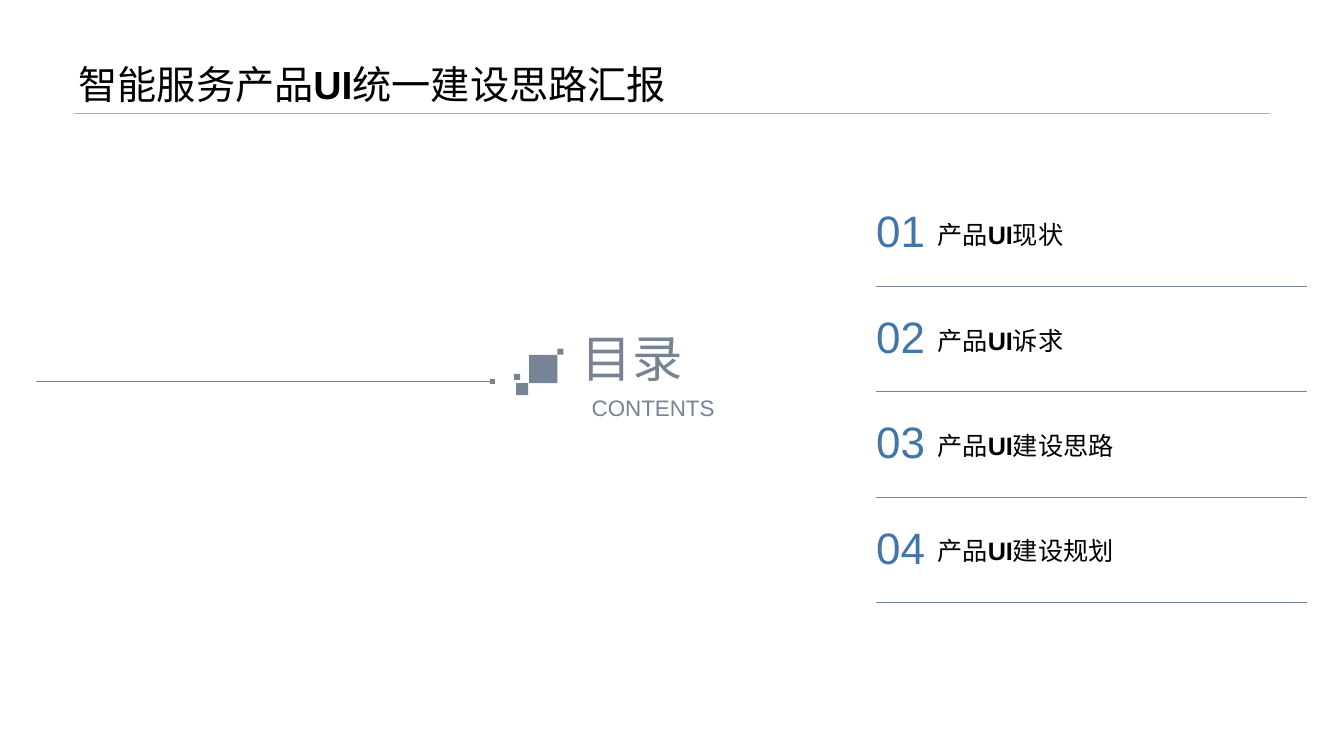
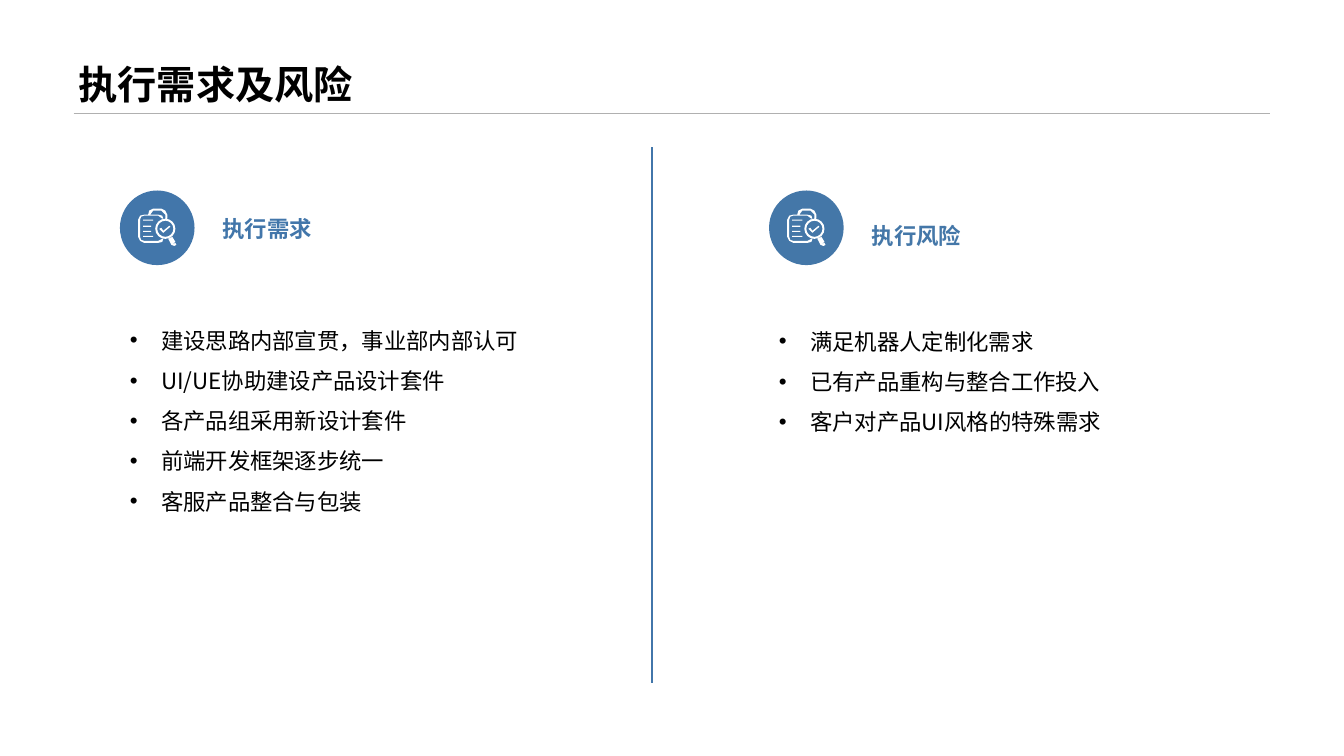
from dataclasses import dataclass
from math import cos, pi, sin
from typing import Any

from lxml.etree import SubElement
from pptx import Presentation
from pptx.dml.color import RGBColor
from pptx.enum.shapes import MSO_CONNECTOR as Connector
from pptx.enum.shapes import MSO_SHAPE as Preset
from pptx.enum.text import MSO_ANCHOR as Anchor
from pptx.enum.text import MSO_AUTO_SIZE as AutoSize
from pptx.enum.text import PP_ALIGN as Align
from pptx.oxml.ns import qn
from pptx.util import Inches, Pt

COLORS = {
    "text": "000000",
    "rule": "B0B0B0",
    "slate": "778495",
    "blue": "4276AA",
    "risk_blue": "4477A8",
    "white": "FFFFFF",
}
CJK = "Noto Sans CJK SC"
LATIN = "Arial"
Point = tuple[float, float]
Box = tuple[float, float, float, float]


@dataclass(frozen=True)
class Span:
    text: str
    size: float
    color: str = "text"
    font: str = CJK
    bold: bool = False


@dataclass(frozen=True)
class Square:
    left: float
    top: float
    side: float


@dataclass(frozen=True)
class Panel:
    heading: str
    color: str
    left: float
    heading_box: Box
    body_top: float
    body_height: float
    bullets: tuple[str, ...]


SQUARES = (
    Square(5.25, 3.52, 0.28),
    Square(5.53, 3.46, 0.06),
    Square(5.12, 3.8, 0.12),
    Square(5.1, 3.71, 0.06),
    Square(4.86, 3.76, 0.05),
)
AGENDA = ("现状", "诉求", "建设思路", "建设规划")
AGENDA_PITCH = 1.045
PANELS = (
    Panel("执行需求", "blue", 1.19, (2.11, 2.01, 1.26, 0.52), 3.06, 2.27, (
        "建设思路内部宣贯，事业部内部认可",
        "UI/UE协助建设产品设计套件",
        "各产品组采用新设计套件",
        "前端开发框架逐步统一",
        "客服产品整合与包装",
    )),
    Panel("执行风险", "risk_blue", 7.63, (8.55, 2.08, 1.3, 0.52), 3.07, 3.36, (
        "满足机器人定制化需求",
        "已有产品重构与整合工作投入",
        "客户对产品UI风格的特殊需求",
    )),
)
BADGE_TOP = 1.89
BADGE_SIZE = 0.74
LENS_CENTER = (0.45, 0.38)
CASE = [
    (0.43, 0.48), (0.42, 0.51), (0.38, 0.52), (0.24, 0.52), (0.2, 0.5), (0.18, 0.46),
    (0.18, 0.29), (0.2, 0.25), (0.24, 0.24), (0.28, 0.24), (0.29, 0.2), (0.33, 0.18),
    (0.41, 0.18), (0.45, 0.2), (0.47, 0.24), (0.47, 0.28), (0.45, 0.28), (0.45, 0.24),
    (0.41, 0.2), (0.33, 0.2), (0.3, 0.24), (0.38, 0.24), (0.42, 0.25), (0.43, 0.28),
    (0.42, 0.28), (0.38, 0.25), (0.24, 0.25), (0.21, 0.26), (0.2, 0.29), (0.2, 0.46),
    (0.21, 0.49), (0.24, 0.5), (0.38, 0.5), (0.42, 0.48),
]
CHECK_MARK = [(0.43, 0.4), (0.41, 0.37), (0.39, 0.38), (0.43, 0.42), (0.5, 0.36), (0.49, 0.35)]
GRIP = [(0.52, 0.46), (0.48, 0.48), (0.51, 0.54), (0.55, 0.51)]
GRIP_END = [(0.55, 0.52), (0.51, 0.54), (0.54, 0.55), (0.56, 0.54)]
TEXT_ROWS = ((0.29, 0.33), (0.35, 0.31), (0.4, 0.31), (0.45, 0.33))


def rgb(color: str) -> RGBColor:
    return RGBColor.from_string(COLORS[color])


def apply_format(target: Any, values: dict[str, Any]) -> None:
    for name, value in values.items():
        setattr(target, name, value)


def add_span(paragraph: Any, span: Span) -> None:
    run = paragraph.add_run()
    run.text = span.text
    run.font.color.rgb = rgb(span.color)
    apply_format(run.font, {"size": Pt(span.size), "bold": span.bold, "name": span.font})
    SubElement(run._r.get_or_add_rPr(), qn("a:ea"), typeface=CJK)


def format_frame(frame: Any, inset: Point, anchor: Any, wrap: bool = True) -> None:
    horizontal, vertical = map(Inches, inset)
    apply_format(frame, {
        "auto_size": AutoSize.NONE, "word_wrap": wrap, "vertical_anchor": anchor,
        "margin_left": horizontal, "margin_right": horizontal,
        "margin_top": vertical, "margin_bottom": vertical,
    })


def add_text(slide: Any, box: Box, spans: list[Span], inset: Point = (0, 0),
             anchor: Any = Anchor.TOP, align: Any = Align.LEFT,
             spacing: float = 1.0, wrap: bool = True) -> None:
    frame = slide.shapes.add_textbox(*map(Inches, box)).text_frame
    format_frame(frame, inset, anchor, wrap)
    paragraph = frame.paragraphs[0]
    apply_format(paragraph, {"alignment": align, "line_spacing": spacing})
    for span in spans:
        add_span(paragraph, span)


def add_bullets(slide: Any, box: Box, lines: tuple[str, ...]) -> None:
    frame = slide.shapes.add_textbox(*map(Inches, box)).text_frame
    format_frame(frame, (0.1, 0.05), Anchor.TOP)
    for index, line in enumerate(lines):
        paragraph = frame.add_paragraph() if index else frame.paragraphs[0]
        paragraph.line_spacing = 1.5
        properties = paragraph._p.get_or_add_pPr()
        properties.set("marL", str(Inches(0.31)))
        properties.set("indent", str(Inches(-0.31)))
        SubElement(properties, qn("a:buFont"), typeface=LATIN)
        SubElement(properties, qn("a:buChar"), char="•")
        add_span(paragraph, Span(line, 16))


def add_line(slide: Any, start: Point, end: Point, color: str, weight: float) -> None:
    connector = slide.shapes.add_connector(Connector.STRAIGHT, *map(Inches, start + end))
    connector.line.color.rgb = rgb(color)
    connector.line.width = Pt(weight)
    SubElement(connector._element.spPr, qn("a:effectLst"))


def paint(shape: Any, fill: str) -> None:
    shape.shadow.inherit = False
    shape.fill.solid()
    shape.fill.fore_color.rgb = rgb(fill)
    shape.line.fill.background()


def add_preset(slide: Any, preset: Any, box: Box, fill: str) -> None:
    paint(slide.shapes.add_shape(preset, *map(Inches, box)), fill)


def circle(center: Point, radius: float, count: int = 16) -> list[Point]:
    angles = [2 * pi * step / count for step in range(count)]
    return [(center[0] + radius * cos(a), center[1] + radius * sin(a)) for a in angles]


def text_row(top: float, right: float) -> list[Point]:
    return [(0.23, top), (right, top), (right, top + 0.01), (0.23, top + 0.01)]


def add_badge(slide: Any, left: float, color: str) -> None:
    add_preset(slide, Preset.OVAL, (left, BADGE_TOP, BADGE_SIZE, BADGE_SIZE), color)
    contours = [CASE, circle(LENS_CENTER, 0.1), circle(LENS_CENTER, 0.08), GRIP, GRIP_END,
                CHECK_MARK, *(text_row(*row) for row in TEXT_ROWS)]
    builder = None
    for contour in contours:
        first, *others = [(Inches(left + x), Inches(BADGE_TOP + y)) for x, y in contour]
        if builder is None:
            builder = slide.shapes.build_freeform(*first)
        else:
            builder.move_to(*first)
        builder.add_line_segments(others, close=True)
    paint(builder.convert_to_shape(), "white")


def add_titled_slide(presentation: Any, spans: list[Span]) -> Any:
    slide = presentation.slides.add_slide(presentation.slide_layouts[5])
    title = slide.shapes.title
    apply_format(title, {
        "left": Inches(0.73), "top": Inches(0), "width": Inches(11.87), "height": Inches(1.12),
    })
    format_frame(title.text_frame, (0.05, 0.05), Anchor.BOTTOM)
    paragraph = title.text_frame.paragraphs[0]
    apply_format(paragraph, {"alignment": Align.LEFT, "line_spacing": 0.9})
    for span in spans:
        add_span(paragraph, span)
    add_line(slide, (0.73, 1.12), (12.6, 1.12), "rule", 0.25)
    return slide


def product_ui(ending: str, size: float, beginning: str = "产品") -> list[Span]:
    return [Span(beginning, size), Span("UI", size, font=LATIN, bold=True), Span(ending, size)]


def build_contents(presentation: Any) -> None:
    slide = add_titled_slide(presentation, product_ui("统一建设思路汇报", 28, "智能服务产品"))
    for square in SQUARES:
        add_preset(slide, Preset.RECTANGLE,
                   (square.left, square.top, square.side, square.side), "slate")
    add_line(slide, (0.36, 3.78), (4.88, 3.78), "slate", 0.5)
    add_text(slide, (5.77, 3.93, 1.42, 0.26), [Span("CONTENTS", 16, "slate", LATIN)],
             anchor=Anchor.MIDDLE, align=Align.CENTER, spacing=0.9)
    add_text(slide, (5.77, 3.25, 1.42, 0.73), [Span("目录", 36, "slate")], align=Align.JUSTIFY)
    for index, ending in enumerate(AGENDA):
        offset = index * AGENDA_PITCH
        add_text(slide, (9.25, 2.13 + offset, 2.06, 0.45), product_ui(ending, 18),
                 inset=(0.05, 0.05))
        add_text(slide, (8.69, 2.07 + offset, 0.49, 0.53),
                 [Span(f"{index + 1:02}", 31.4, "blue", LATIN)], anchor=Anchor.MIDDLE,
                 align=Align.CENTER, spacing=0.8, wrap=False)
        add_line(slide, (8.69, 2.84 + offset), (12.97, 2.84 + offset), "slate", 0.5)


def build_needs_and_risks(presentation: Any) -> None:
    slide = add_titled_slide(presentation, [Span("执行需求及风险", 28, font=LATIN, bold=True)])
    for panel in PANELS:
        add_badge(slide, panel.left, panel.color)
        add_text(slide, panel.heading_box, [Span(panel.heading, 16, panel.color, LATIN, True)],
                 inset=(0.1, 0.05), anchor=Anchor.MIDDLE)
        add_bullets(slide, (panel.left, panel.body_top, 4.97, panel.body_height), panel.bullets)
    add_line(slide, (6.47, 1.46), (6.47, 6.78), "blue", 1)


def main() -> None:
    presentation = Presentation()
    apply_format(presentation, {"slide_width": Inches(40 / 3), "slide_height": Inches(7.5)})
    build_contents(presentation)
    build_needs_and_risks(presentation)
    presentation.save("out.pptx")


if __name__ == "__main__":
    main()
